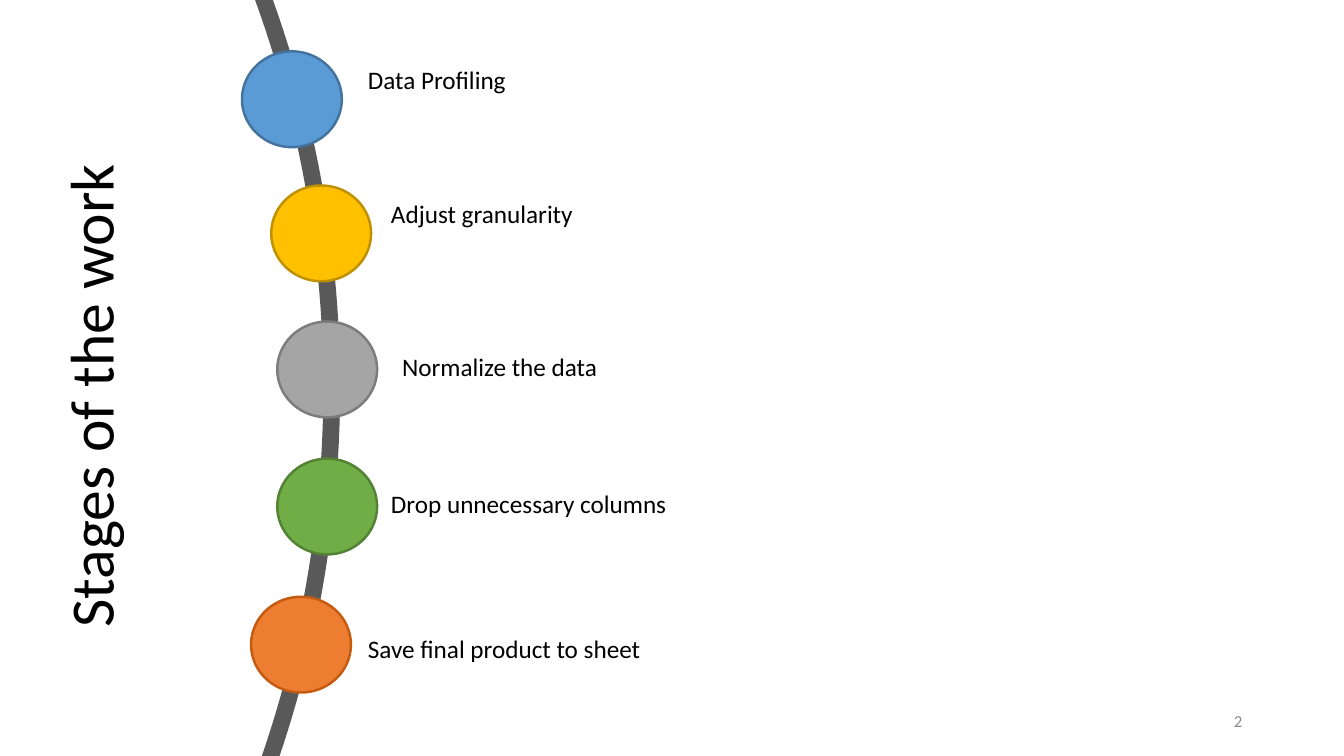
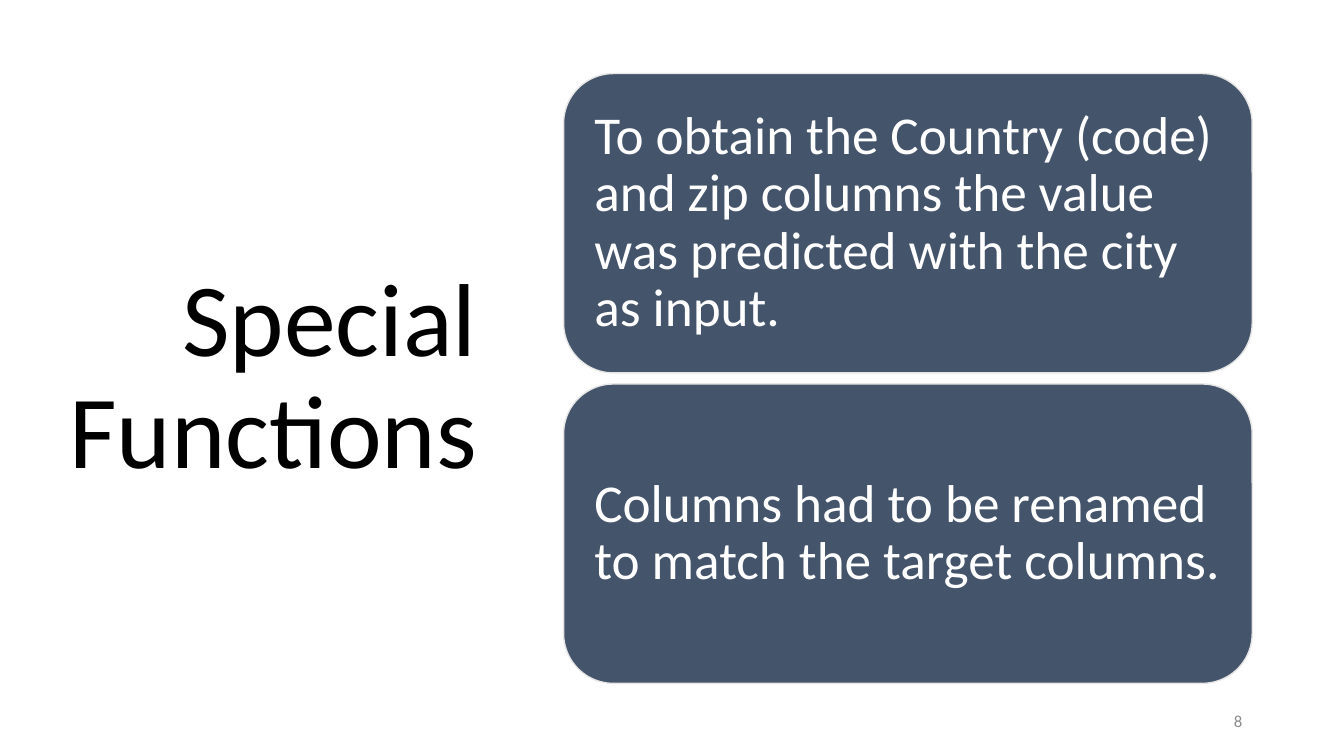
from pptx import Presentation
from pptx.dml.color import RGBColor
from pptx.enum.shapes import MSO_SHAPE
from pptx.enum.text import MSO_ANCHOR, PP_ALIGN
from pptx.util import Inches, Pt

OVAL, ROUNDED = MSO_SHAPE.OVAL, MSO_SHAPE.ROUNDED_RECTANGLE
TOP, MIDDLE = MSO_ANCHOR.TOP, MSO_ANCHOR.MIDDLE
LEFT, RIGHT = PP_ALIGN.LEFT, PP_ALIGN.RIGHT

FONT = "Calibri"
BLACK = RGBColor(0x00, 0x00, 0x00)
WHITE = RGBColor(0xFF, 0xFF, 0xFF)
PAGE_GRAY = RGBColor(0x8C, 0x8C, 0x8C)
ARC_GRAY = RGBColor(0x59, 0x59, 0x59)
SLATE = RGBColor(0x44, 0x54, 0x6A)
PALE = RGBColor(0xE7, 0xE6, 0xE6)
BLUE, BLUE_EDGE = RGBColor(0x5B, 0x9B, 0xD5), RGBColor(0x43, 0x73, 0x9E)
GOLD, GOLD_EDGE = RGBColor(0xFF, 0xC0, 0x00), RGBColor(0xBF, 0x90, 0x00)
GRAY, GRAY_EDGE = RGBColor(0xA5, 0xA5, 0xA5), RGBColor(0x7C, 0x7C, 0x7C)
GREEN, GREEN_EDGE = RGBColor(0x70, 0xAD, 0x47), RGBColor(0x54, 0x82, 0x35)
ORANGE, ORANGE_EDGE = RGBColor(0xED, 0x7D, 0x31), RGBColor(0xC5, 0x5A, 0x11)

STAGES_TITLE = "Stages of the work"
STAGES = [
    ("Data Profiling", (2.4, 0.51), (3.55, 0.59), BLUE, BLUE_EDGE),
    ("Adjust granularity", (2.69, 1.84), (3.78, 1.92), GOLD, GOLD_EDGE),
    ("Normalize the data", (2.75, 3.19), (3.89, 3.44), GRAY, GRAY_EDGE),
    ("Drop unnecessary columns", (2.75, 4.55), (3.78, 4.8), GREEN, GREEN_EDGE),
    ("Save final product to sheet", (2.49, 5.92), (3.55, 6.23), ORANGE, ORANGE_EDGE),
]
FUNCTIONS_TITLE = "Special Functions"
FUNCTIONS = [
    "To obtain the Country (code) and zip columns the value was predicted "
    "with the city as input.",
    "Columns had to be renamed to match the target columns.",
]

ARC_BOX = (-19.38, -7.49, 22.67, 22.67)
STAGE_SIZE = (0.99, 0.95)
LABEL_SIZE = (5.77, 0.4)
CARD_LEFT, CARD_TOP, CARD_WIDTH, CARD_HEIGHT = 5.59, 0.73, 6.83, 2.97
CARD_STEP = 3.08

deck = Presentation()
deck.slide_width, deck.slide_height = Inches(13.33), Inches(7.5)


def write(holder, text, *, size, color=BLACK, align=LEFT, anchor=TOP,
          spacing=1.0, inset=None):
    frame = holder.text_frame
    frame.word_wrap = True
    frame.vertical_anchor = anchor
    if inset is not None:
        frame.margin_left = frame.margin_right = Inches(inset)
        frame.margin_top = frame.margin_bottom = Inches(inset)
    paragraph = frame.paragraphs[0]
    paragraph.alignment = align
    paragraph.line_spacing = spacing
    run = paragraph.add_run()
    run.text = text
    run.font.name, run.font.size = FONT, Pt(size)
    run.font.color.rgb = color


def text_area(slide, box):
    return slide.shapes.add_textbox(*map(Inches, box))


def outlined(slide, preset, box, fill, edge, width):
    figure = slide.shapes.add_shape(preset, *map(Inches, box))
    figure.shadow.inherit = False
    if fill is None:
        figure.fill.background()
    else:
        figure.fill.solid()
        figure.fill.fore_color.rgb = fill
    figure.line.color.rgb = edge
    figure.line.width = Pt(width)
    return figure


def new_slide(title, title_box, page, *, size, align=LEFT, rotation=0):
    slide = deck.slides.add_slide(deck.slide_layouts[6])
    heading = text_area(slide, title_box)
    heading.rotation = rotation
    write(heading, title, size=size, align=align, anchor=MIDDLE, spacing=0.9)
    write(text_area(slide, (9.42, 6.95, 3, 0.4)), str(page), size=12,
          color=PAGE_GRAY, align=RIGHT, anchor=MIDDLE)
    return slide


stages = new_slide(STAGES_TITLE, (-1.64, 3.03, 5.14, 1.45), 2, size=44, rotation=270)
outlined(stages, OVAL, ARC_BOX, None, ARC_GRAY, 12)
for label, circle_at, label_at, fill, edge in STAGES:
    outlined(stages, OVAL, circle_at + STAGE_SIZE, fill, edge, 1.75)
    write(text_area(stages, label_at + LABEL_SIZE), label, size=18)

functions = new_slide(FUNCTIONS_TITLE, (0.52, 0.7, 4.31, 6.11), 8, size=74, align=RIGHT)
for row, sentence in enumerate(FUNCTIONS):
    card_box = (CARD_LEFT, CARD_TOP + row * CARD_STEP, CARD_WIDTH, CARD_HEIGHT)
    card = outlined(functions, ROUNDED, card_box, SLATE, PALE, 1)
    write(card, sentence, size=38, color=WHITE, anchor=MIDDLE, spacing=0.9, inset=0.16)

deck.save("out.pptx")
